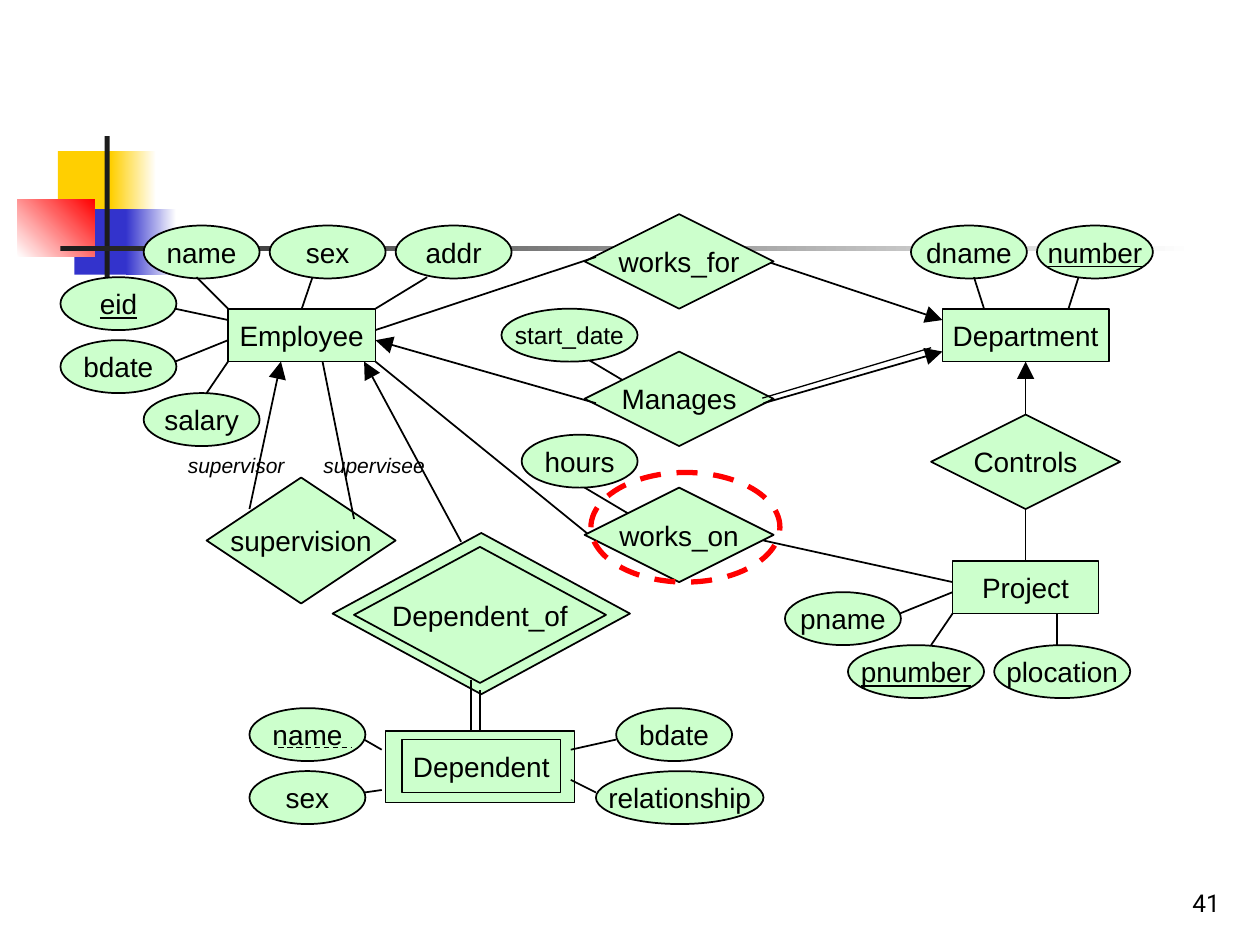
from dataclasses import dataclass
from typing import Optional

from lxml.etree import SubElement
from pptx import Presentation
from pptx.dml.color import RGBColor
from pptx.enum.dml import MSO_LINE
from pptx.enum.shapes import MSO_CONNECTOR, MSO_SHAPE
from pptx.enum.text import MSO_ANCHOR, PP_ALIGN
from pptx.oxml.ns import qn
from pptx.util import Inches, Pt


@dataclass(frozen=True)
class Theme:
    font: str = "Arial"
    number_font: str = "Roboto"
    ink: str = "000000"
    node: str = "CCFFCC"
    highlight: str = "FF0000"
    yellow: str = "FFCF01"
    blue: str = "3333CC"
    red: str = "FF0000"
    dark: str = "1C1C1C"
    white: str = "FFFFFF"
    node_size: float = 16
    small_size: float = 14
    role_size: float = 12
    line: float = 1
    thin_line: float = 0.75
    highlight_line: float = 3


THEME = Theme()


@dataclass(frozen=True)
class Node:
    text: str
    left: float
    top: float
    width: float = 0.92
    height: float = 0.42
    kind: MSO_SHAPE = MSO_SHAPE.OVAL
    underline: bool = False
    size: float = THEME.node_size


@dataclass(frozen=True)
class Link:
    start: tuple[float, float]
    end: tuple[float, float]
    arrow: str = ""
    width: float = THEME.line
    dashed: bool = False
    begin_join: Optional[tuple[str, int]] = None
    end_join: Optional[tuple[str, int]] = None


@dataclass(frozen=True)
class Block:
    left: float
    top: float
    width: float
    height: float
    colors: tuple[str, ...]
    angle: float = 0


def entity(text: str, left: float, top: float, width: float = 1.17, height: float = 0.42) -> Node:
    return Node(text, left, top, width, height, MSO_SHAPE.RECTANGLE)


def relation(text: str, left: float, top: float, width: float = 1.5, height: float = 0.75) -> Node:
    return Node(text, left, top, width, height, MSO_SHAPE.DIAMOND)


BLOCKS = [
    Block(0.46, 1.2, 0.48, 0.52, (THEME.yellow,)),
    Block(0.88, 1.2, 0.36, 0.52, (THEME.yellow, THEME.white)),
    Block(0.59, 1.66, 0.46, 0.52, (THEME.blue,)),
    Block(1, 1.66, 0.4, 0.52, (THEME.blue, THEME.white)),
    Block(0.14, 1.58, 0.61, 0.46, (THEME.white, THEME.red), 45),
    Block(0.83, 1.08, 0.04, 1.15, (THEME.dark,)),
    Block(0.48, 1.95, 9, 0.04, (THEME.dark, THEME.white)),
]
BACK_LINKS = [
    Link((4.64, 3.87), (5.06, 4.12)),
    Link((2.98, 2.87), (4.73, 4.29)),
    Link((5.98, 2.04), (7.48, 2.54), "tailEnd"),
    Link((4.98, 3.04), (4.56, 2.79)),
]
NODES = [
    entity("", 3.06, 5.8, 1.5, 0.57),
    relation("", 2.64, 4.23, 2.36, 1.28),
    entity("Dependent", 3.19, 5.87, 1.26),
    Node("name", 1.98, 5.62),
    Node("sex", 1.98, 6.12),
    Node("bdate", 4.89, 5.62),
    Node("relationship", 4.73, 6.12, 1.33),
    relation("Controls", 7.39, 3.29),
    entity("Project", 7.56, 4.45, 1.16),
    Node("pname", 6.23, 4.7),
    Node("pnumber", 6.73, 5.12, 1.08, underline=True),
    Node("plocation", 7.89, 5.12, 1.08),
    relation("supervision", 1.64, 3.79, height=1),
    relation("works_on", 4.64, 3.87),
    relation("Dependent_of", 2.81, 4.34, 2, 1.08),
    Node("hours", 4.14, 3.45),
    entity("Department", 7.48, 2.45, 1.32),
    entity("Employee", 1.81, 2.45),
    Node("name", 1.14, 1.79),
    Node("sex", 2.14, 1.79),
    Node("addr", 3.14, 1.79),
    Node("eid", 0.48, 2.2, underline=True),
    Node("bdate", 0.48, 2.7),
    Node("salary", 1.14, 3.12),
    relation("works_for", 4.64, 1.7),
    relation("Manages", 4.64, 2.79),
    Node("start_date", 3.98, 2.45, 1.08, size=THEME.small_size),
    Node("dname", 7.23, 1.79),
    Node("number", 8.23, 1.79, underline=True),
]
FRONT_LINKS = [
    Link((3.74, 5.8), (3.74, 5.4)),
    Link((3.81, 5.8), (3.81, 5.48), begin_join=("", 0)),
    Link((3.03, 5.95), (2.89, 5.87)),
    Link((3.03, 6.27), (2.89, 6.29)),
    Link((4.53, 5.95), (4.89, 5.87)),
    Link((4.53, 6.19), (4.73, 6.29)),
    Link((7.56, 4.87), (7.39, 5.12)),
    Link((7.56, 4.7), (7.14, 4.87)),
    Link((8.39, 4.87), (8.39, 5.12)),
    Link((2.23, 2.87), (1.98, 4.04), "headEnd"),
    Link((2.56, 2.87), (2.81, 4.12)),
    Link((2.89, 2.87), (3.66, 4.3), "headEnd"),
    Link((1.81, 2.87), (1.64, 3.12)),
    Link((1.81, 2.45), (1.56, 2.2)),
    Link((1.81, 2.54), (1.39, 2.45)),
    Link((1.81, 2.7), (1.39, 2.87)),
    Link((2.39, 2.45), (2.48, 2.2), begin_join=("Employee", 0)),
    Link((2.98, 2.45), (3.39, 2.2)),
    Link((2.98, 2.62), (4.73, 2.04)),
    Link((2.98, 2.7), (4.73, 3.2), "headEnd"),
    Link((7.81, 2.45), (7.73, 2.2)),
    Link((8.48, 2.45), (8.56, 2.2)),
    Link((7.48, 2.79), (6.06, 3.2), "headEnd"),
    Link((8.14, 3.29), (8.14, 2.87), "tailEnd", begin_join=("Controls", 0), end_join=("Department", 2)),
    Link((8.14, 4.45), (8.14, 4.04), begin_join=("Project", 0), end_join=("Controls", 2)),
    Link((6.06, 4.29), (7.56, 4.62)),
    Link((2.21, 5.93), (2.79, 5.93), width=THEME.thin_line, dashed=True),
    Link((6.05, 3.16), (7.39, 2.76), width=THEME.thin_line),
]


def color(value: str) -> RGBColor:
    return RGBColor.from_string(value)


def add_text(shape, text: str, size: float, align=PP_ALIGN.CENTER, font=THEME.font,
             anchor=MSO_ANCHOR.MIDDLE, underline=None, italic=None) -> None:
    frame = shape.text_frame
    frame.word_wrap = False
    frame.vertical_anchor = anchor
    paragraph = frame.paragraphs[0]
    paragraph.alignment = align
    run = paragraph.add_run()
    run.text = text
    run.font.name = font
    run.font.size = Pt(size)
    run.font.underline = underline
    run.font.italic = italic
    run.font.color.rgb = color(THEME.ink)


def add_outline(slide, kind, box: tuple, line_color: str, width: float):
    shape = slide.shapes.add_shape(kind, *map(Inches, box))
    shape.shadow.inherit = False
    shape.line.color.rgb = color(line_color)
    shape.line.width = Pt(width)
    return shape


def add_block(slide, block: Block) -> None:
    box = map(Inches, (block.left, block.top, block.width, block.height))
    shape = slide.shapes.add_shape(MSO_SHAPE.RECTANGLE, *box)
    shape.shadow.inherit = False
    shape.line.fill.background()
    if len(block.colors) == 1:
        shape.fill.solid()
        shape.fill.fore_color.rgb = color(block.colors[0])
        return
    shape.fill.gradient()
    shape.fill.gradient_angle = block.angle
    for stop, value in zip(shape.fill.gradient_stops, block.colors):
        stop.color.rgb = color(value)


def add_node(slide, node: Node):
    box = (node.left, node.top, node.width, node.height)
    shape = add_outline(slide, node.kind, box, THEME.ink, THEME.line)
    shape.fill.solid()
    shape.fill.fore_color.rgb = color(THEME.node)
    if node.text:
        add_text(shape, node.text, node.size, underline=node.underline or None)
    return shape


def add_link(slide, link: Link, joinable: dict) -> None:
    points = map(Inches, (*link.start, *link.end))
    connector = slide.shapes.add_connector(MSO_CONNECTOR.STRAIGHT, *points)
    if link.begin_join:
        connector.begin_connect(joinable[link.begin_join[0]], link.begin_join[1])
    if link.end_join:
        connector.end_connect(joinable[link.end_join[0]], link.end_join[1])
    connector.line.color.rgb = color(THEME.ink)
    connector.line.width = Pt(link.width)
    if link.dashed:
        connector.line.dash_style = MSO_LINE.DASH
    properties = connector._element.spPr
    if link.arrow:
        SubElement(properties.find(qn("a:ln")), qn(f"a:{link.arrow}"), type="triangle", w="lg", len="lg")
    SubElement(properties, qn("a:effectLst"))


def main() -> None:
    presentation = Presentation()
    presentation.slide_width, presentation.slide_height = Inches(10), Inches(7.5)
    slide = presentation.slides.add_slide(presentation.slide_layouts[6])
    for block in BLOCKS:
        add_block(slide, block)
    for link in BACK_LINKS:
        add_link(slide, link, {})
    joinable = {}
    for node in NODES:
        shape = add_node(slide, node)
        if node.kind != MSO_SHAPE.OVAL:
            joinable.setdefault(node.text, shape)
    for link in FRONT_LINKS:
        add_link(slide, link, joinable)
    for text, left, width in (("supervisor", 1.39, 0.97), ("supervisee", 2.47, 1)):
        label = slide.shapes.add_textbox(Inches(left), Inches(3.54), Inches(width), Inches(0.3))
        add_text(label, text, THEME.role_size, anchor=MSO_ANCHOR.TOP, italic=True)
        label.text_frame.margin_left = label.text_frame.margin_right = 0
    ring = add_outline(slide, MSO_SHAPE.OVAL, (4.69, 3.75, 1.5, 0.87),
                       THEME.highlight, THEME.highlight_line)
    ring.fill.background()
    ring.line.dash_style = MSO_LINE.DASH
    number = slide.shapes.add_textbox(Inches(7.7), Inches(6.83), Inches(2.08), Inches(0.5))
    add_text(number, "41", THEME.small_size, PP_ALIGN.RIGHT, THEME.number_font, MSO_ANCHOR.BOTTOM)
    number.text_frame.word_wrap = True
    presentation.save("out.pptx")


if __name__ == "__main__":
    main()
